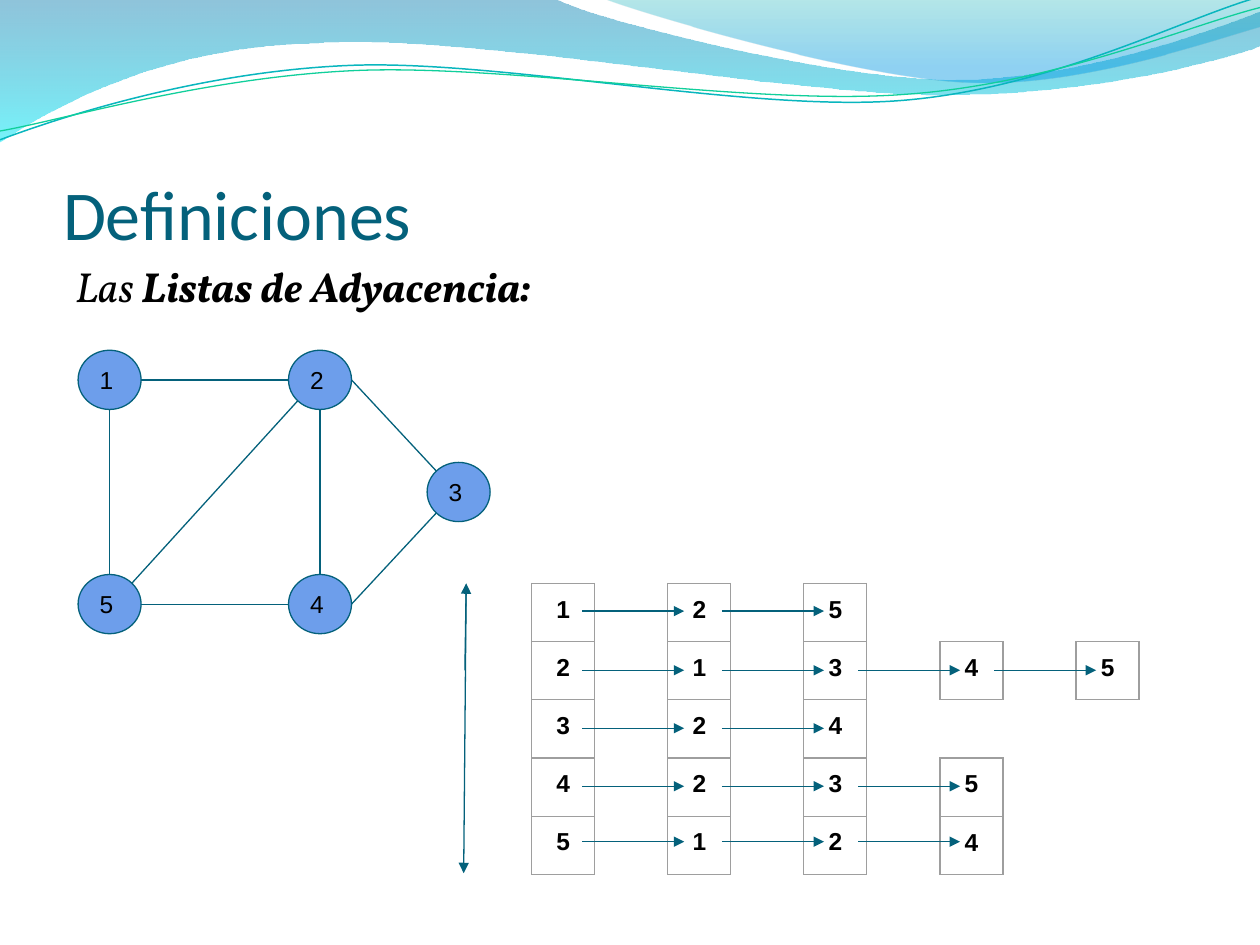
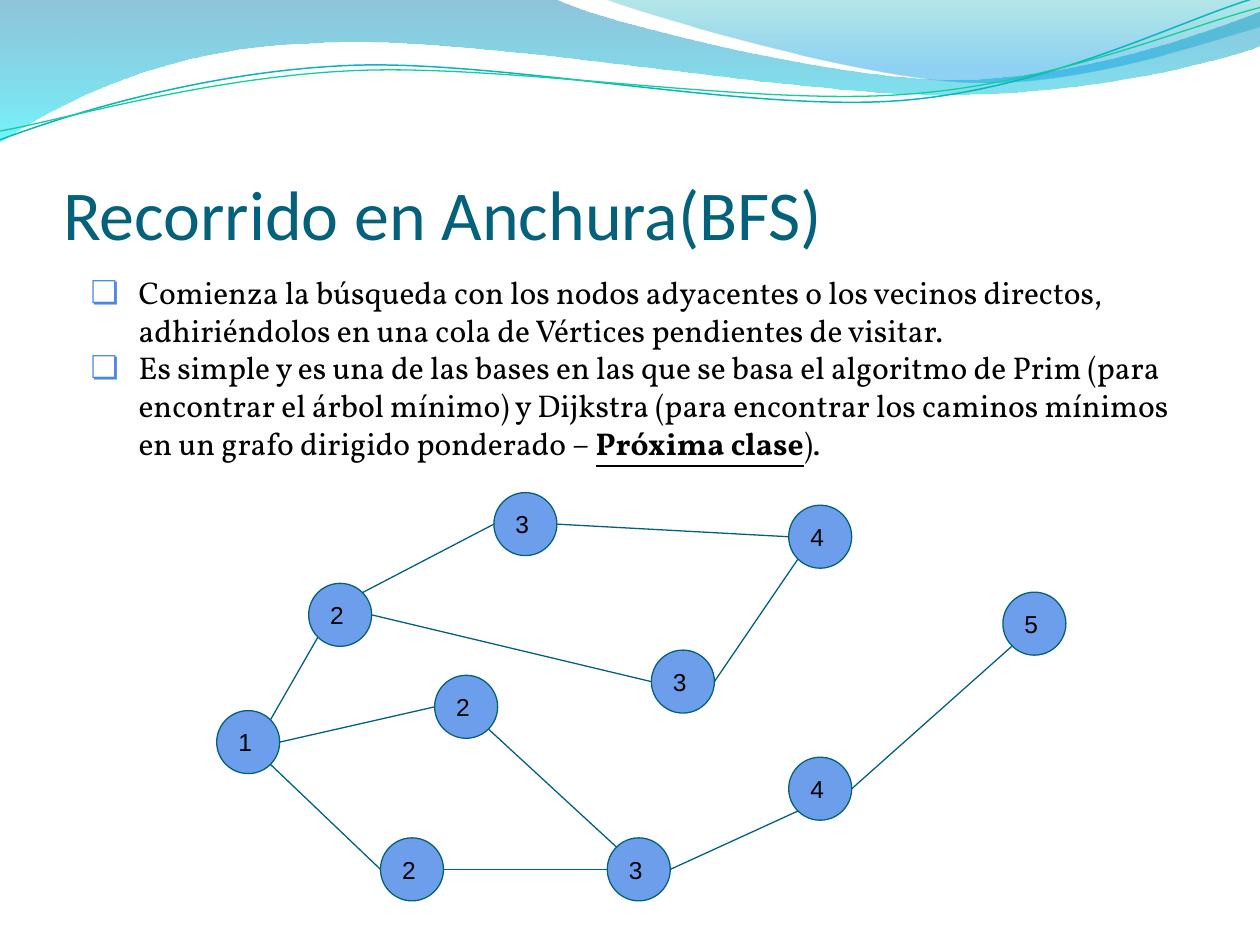
from dataclasses import dataclass
from itertools import groupby
from math import cos, radians, sin

from lxml.etree import SubElement
from pptx import Presentation
from pptx.dml.color import RGBColor as Color
from pptx.enum.shapes import MSO_CONNECTOR as Connector, MSO_SHAPE as Shape
from pptx.enum.text import MSO_ANCHOR as Anchor, MSO_AUTO_SIZE as AutoSize, PP_ALIGN as Align
from pptx.oxml.ns import qn
from pptx.util import Inches, Pt


@dataclass(frozen=True)
class Theme:
    title: str = "04617B"
    text: str = "000000"
    paper: str = "FFFFFF"
    node: str = "6D9EEB"
    stroke: str = "04617B"
    border: str = "9E9E9E"
    bullet: str = "4A86E8"
    heading_font: str = "Calibri"
    body_font: str = "Vollkorn"
    label_font: str = "Arial"
    title_size: int = 40
    lead_size: int = 24
    list_size: int = 18
    label_size: int = 14
    line_width: float = 0.75


WAVES = [
    dict(
        start=(0, 0),
        segments=[
            (4.4, -0.01), (4.76, 0.17, 6.64, 0.63, 7.58, 0.63),
            (8.53, 0.63, 9.58, 0.26, 10, 0.09), (10.01, 0.36),
            (9.83, 0.44, 8.7, 0.76, 7.46, 0.75), (6.22, 0.75, 3.82, 0.28, 2.57, 0.34),
            (1.29, 0.36, 0.46, 0.83, -0.01, 1.13), (0, 0),
        ],
        stops=[(0, "0079AD", 44), (100, "00E9F7", 54)],
    ),
    dict(
        start=(4.79, -0.01),
        segments=[
            (5.09, 0.11, 6.82, 0.62, 7.69, 0.65), (8.56, 0.69, 9.61, 0.32, 10, 0.21),
            (10, 0), (4.79, -0.01),
        ],
        stops=[(0, "00ABB4", 29), (80, "0099E4", 44), (100, "0099E4", 44)],
    ),
    dict(
        start=(0, 1.11),
        segments=[
            (0.48, 0.93, 1.58, 0.57, 2.77, 0.52), (3.95, 0.47, 5.93, 0.89, 7.13, 0.8),
            (8.33, 0.71, 9.38, 0.15, 9.98, -0.02),
        ],
        line=("09B6BE", 0.85),
    ),
    dict(
        start=(0, 1.04),
        segments=[
            (0.47, 0.96, 1.64, 0.61, 2.83, 0.56), (4.03, 0.51, 5.97, 0.84, 7.17, 0.75),
            (8.36, 0.67, 9.41, 0.21, 10, 0.06),
        ],
        line=("10CF9B", 0.75),
    ),
]

SIDES = ["N", "NW", "W", "SW", "S", "SE", "E", "NE"]

LIST_GRAPH = {
    "1": (0.62, 2.78), "2": (2.29, 2.78), "3": (3.39, 3.67), "4": (2.29, 4.56), "5": (0.62, 4.56),
}
LIST_EDGES = [
    "5 NE 2 SW", "5 E 4 W", "5 N 1 S", "2 S 4 N", "3 NW 2 E", "3 SW 4 E", "1 E 2 W",
]
ADJACENCY = {1: [2, 5], 2: [1, 3, 4, 5], 3: [2, 4], 4: [2, 3, 5], 5: [1, 2, 4]}
CELL_LEFT, CELL_TOP, CELL_WIDTH = 4.22, 4.63, 0.5
CELL_PITCH, CELL_HEIGHT = 1.08, 2.31 / 5
ARROW_STARTS = [4.62, 5.73, 6.81, 7.89]
ARROW_HEIGHTS = [4.85, 5.32, 5.78, 6.24, 6.68]
ARROW_LENGTH = 0.81

BFS_GRAPH = {
    "1": (1.72, 5.64), "2a": (2.45, 4.63), "2b": (3.45, 5.36), "2c": (3.02, 6.65),
    "3a": (3.92, 3.91), "3b": (5.17, 5.16), "3c": (4.82, 6.65),
    "4a": (6.26, 4.01), "4b": (6.26, 6.01), "5": (7.96, 4.7),
}
BFS_EDGES = [
    "2c E 3c W", "2c W 1 SE", "2b SE 3c NW", "4b SW 3c E", "1 E 2b W", "2a E 3b W",
    "2a NE 3a W", "4a SW 3b E", "3a E 4a W", "2a SW 1 NE", "4b E 5 SW",
]


def assign(target, values):
    for name, value in values.items():
        setattr(target, name, value)


class SlideWriter:
    def __init__(self, deck, theme):
        self.deck, self.theme = deck, theme
        self.page = None

    def start(self, title):
        self.page = self.deck.slides.add_slide(self.deck.slide_layouts[1])
        box = self.page.shapes.title
        self.frame(box, (0.5, 0.77, 9, 1.25), (0, 0.05, 0, 0), Anchor.BOTTOM)
        para = box.text_frame.paragraphs[0]
        para.alignment = Align.LEFT
        self.span(para, title, self.theme.heading_font, self.theme.title_size, self.theme.title)

    def frame(self, box, area, margins, anchor):
        assign(box, dict(zip(("left", "top", "width", "height"), map(Inches, area))))
        sides = ("margin_left", "margin_top", "margin_right", "margin_bottom")
        assign(box.text_frame, dict(zip(sides, map(Inches, margins))))
        assign(box.text_frame, dict(
            word_wrap=True, auto_size=AutoSize.NONE, vertical_anchor=anchor))

    def span(self, para, text, font, size, color, **style):
        span = para.add_run()
        span.text = text
        assign(span.font, dict(name=font, size=Pt(size), **style))
        span.font.color.rgb = Color.from_string(color)

    def body(self, area, paragraphs, size, indent, hanging, bullet=None, **layout):
        box = self.page.placeholders[1]
        self.frame(box, area, (0.1, 0.05, 0.1, 0.05), Anchor.TOP)
        for index, spans in enumerate(paragraphs):
            frame = box.text_frame
            para = frame.add_paragraph() if index else frame.paragraphs[0]
            marks = para._p.get_or_add_pPr()
            marks.set("marL", str(Inches(indent)))
            marks.set("indent", str(-Inches(hanging)))
            if bullet:
                tint = SubElement(marks, qn("a:buClr"))
                SubElement(tint, qn("a:srgbClr"), val=self.theme.bullet)
                SubElement(marks, qn("a:buChar"), char=bullet)
            else:
                SubElement(marks, qn("a:buNone"))
            assign(para, dict(space_before=Pt(0), **layout))
            for text, style in spans:
                self.span(para, text, self.theme.body_font, size, self.theme.text, **style)

    def stroke(self, line, color, width):
        line.color.rgb = Color.from_string(color)
        line.width = Pt(width)

    def wave(self, start, segments, stops=None, line=None):
        builder = self.page.shapes.build_freeform(*map(Inches, start), scale=1.0)
        ends = [tuple(map(Inches, segment[-2:])) for segment in segments]
        builder.add_line_segments(ends, close=bool(stops))
        wave = builder.convert_to_shape()
        self.bend(wave, segments)
        wave.shadow.inherit = False
        wave.fill.background()
        if line:
            self.stroke(wave.line, *line)
        else:
            wave.line.fill.background()
            self.gradient(wave, stops)
        return wave

    def bend(self, shape, segments):
        straights = list(shape.element.spPr.iter(qn("a:lnTo")))
        for straight, segment in zip(straights, segments):
            if len(segment) == 2:
                continue
            curve = straight.makeelement(qn("a:cubicBezTo"))
            for x, y in zip(segment[::2], segment[1::2]):
                SubElement(curve, qn("a:pt"), x=str(Inches(x) - shape.left),
                           y=str(Inches(y) - shape.top))
            straight.getparent().replace(straight, curve)

    def gradient(self, shape, stops):
        blank = shape.element.spPr.find(qn("a:noFill"))
        fill = blank.makeelement(qn("a:gradFill"), {"rotWithShape": "1"})
        listing = SubElement(fill, qn("a:gsLst"))
        for position, color, opacity in stops:
            stop = SubElement(listing, qn("a:gs"), pos=str(position * 1000))
            tint = SubElement(stop, qn("a:srgbClr"), val=color)
            SubElement(tint, qn("a:alpha"), val=str(opacity * 1000))
        SubElement(fill, qn("a:lin"), ang="5400000", scaled="0")
        blank.getparent().replace(blank, fill)

    def share_waves(self):
        for index, values in enumerate(WAVES):
            wave = self.wave(**values)
            wave.element.nvSpPr.cNvPr.set("id", str(100 + index))
            self.deck.slide_master.shapes.element.insert(2 + index, wave.element)

    def node(self, label, left, top, height):
        node = self.page.shapes.add_shape(Shape.OVAL, 0, 0, 0, 0)
        self.frame(node, (left, top, 0.5, height), (0.1,) * 4, Anchor.MIDDLE)
        node.shadow.inherit = False
        node.fill.solid()
        node.fill.fore_color.rgb = Color.from_string(self.theme.node)
        self.stroke(node.line, self.theme.stroke, self.theme.line_width)
        para = node.text_frame.paragraphs[0]
        para.alignment = Align.LEFT
        self.span(para, label, self.theme.label_font, self.theme.label_size, self.theme.text)
        return node

    def line(self, begin, end, arrow=False):
        line = self.page.shapes.add_connector(Connector.STRAIGHT, *begin, *end)
        self.stroke(line.line, self.theme.stroke, self.theme.line_width)
        if arrow:
            SubElement(line.line._get_or_add_ln(), qn("a:tailEnd"), type="triangle")
        SubElement(line.element.spPr, qn("a:effectLst"))
        return line

    def arrow(self, begin, end):
        self.line(map(Inches, begin), map(Inches, end), arrow=True)

    def rim(self, node, side):
        angle = radians(90 + 45 * SIDES.index(side))
        return (
            round(node.left + node.width / 2 * (1 + cos(angle))),
            round(node.top + node.height / 2 * (1 - sin(angle))),
        )

    def graph(self, places, edges, height):
        nodes = {name: self.node(name[0], *place, height) for name, place in places.items()}
        for edge in edges:
            source, leave, target, enter = edge.split()
            line = self.line(self.rim(nodes[source], leave), self.rim(nodes[target], enter))
            links = line.element.nvCxnSpPr.cNvCxnSpPr
            for tag, name, side in (("a:stCxn", source, leave), ("a:endCxn", target, enter)):
                SubElement(links, qn(tag), id=str(nodes[name].shape_id),
                           idx=str(SIDES.index(side)))

    def column(self, values, left, top):
        area = (left, top, CELL_WIDTH, CELL_HEIGHT * len(values))
        table = self.page.shapes.add_table(len(values), 1, *map(Inches, area)).table
        assign(table, dict(first_row=False, horz_banding=False))
        for row, value in enumerate(values):
            table.rows[row].height = Inches(CELL_HEIGHT)
            self.cell(table.cell(row, 0), str(value))

    def cell(self, cell, text):
        margins = ("margin_left", "margin_top", "margin_right", "margin_bottom")
        assign(cell, dict.fromkeys(margins, Inches(0.1)))
        para = cell.text_frame.paragraphs[0]
        para.alignment = Align.CENTER
        self.span(para, text, self.theme.label_font, self.theme.label_size,
                  self.theme.text, bold=True)
        edges = cell._tc.get_or_add_tcPr()
        for tag in ("a:lnL", "a:lnR", "a:lnT", "a:lnB"):
            edge = SubElement(edges, qn(tag), w=str(Pt(self.theme.line_width)))
            SubElement(SubElement(edge, qn("a:solidFill")), qn("a:srgbClr"),
                       val=self.theme.border)
        cell.fill.solid()
        cell.fill.fore_color.rgb = Color.from_string(self.theme.paper)

    def adjacency_lists(self):
        chains = [[vertex, *neighbours] for vertex, neighbours in ADJACENCY.items()]
        for depth in range(max(map(len, chains))):
            for filled, group in groupby(enumerate(chains), lambda item: len(item[1]) > depth):
                if filled:
                    rows = list(group)
                    self.column([chain[depth] for _, chain in rows],
                                CELL_LEFT + CELL_PITCH * depth,
                                CELL_TOP + CELL_HEIGHT * rows[0][0])
        for chain, height in zip(chains, ARROW_HEIGHTS):
            for start in ARROW_STARTS[:len(chain) - 1]:
                self.arrow((start, height), (start + ARROW_LENGTH, height))


def main():
    deck = Presentation()
    assign(deck, dict(slide_width=Inches(10), slide_height=Inches(7.5)))
    theme = Theme()
    writer = SlideWriter(deck, theme)

    writer.start("Definiciones")
    writer.share_waves()
    lead = [("Las ", dict(italic=True)),
            ("Listas de Adyacencia:", dict(italic=True, bold=True))]
    writer.body((0.5, 2.02, 9.35, 4.8), [lead], theme.lead_size, 0.3, 0.3,
                alignment=Align.JUSTIFY)
    writer.graph(LIST_GRAPH, LIST_EDGES, 0.47)
    writer.adjacency_lists()
    writer.arrow((3.7, 4.64), (3.68, 6.93))
    writer.arrow((3.69, 5.32), (3.7, 4.63))

    writer.start("Recorrido en Anchura(BFS)")
    points = [
        [("Comienza la búsqueda con los nodos adyacentes o los vecinos directos, "
          "adhiriéndolos en una cola de Vértices pendientes de visitar.", {})],
        [("Es simple y es una de las bases en las que se basa el algoritmo de Prim (para "
          "encontrar el árbol mínimo) y Dijkstra (para encontrar los caminos mínimos en un "
          "grafo dirigido ponderado – ", {}),
         ("Próxima clase", dict(bold=True, underline=True)), (").", {})],
    ]
    writer.body((0.5, 2.12, 9, 1.9), points, theme.list_size, 0.5, 0.38, "❏",
                alignment=Align.LEFT, line_spacing=Pt(21.5))
    writer.graph(BFS_GRAPH, BFS_EDGES, 0.5)

    deck.save("out.pptx")


if __name__ == "__main__":
    main()
